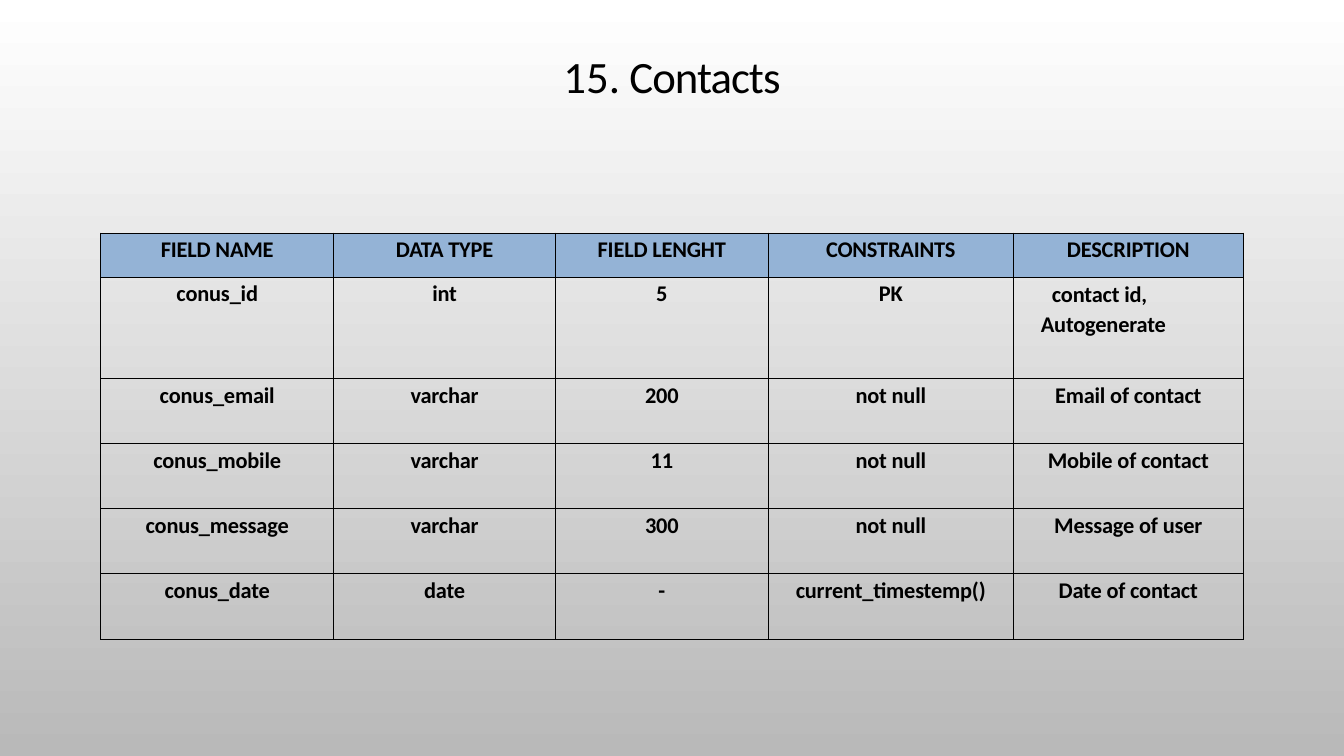
from lxml import etree
from pptx import Presentation
from pptx.dml.color import RGBColor
from pptx.enum.text import MSO_ANCHOR, PP_ALIGN
from pptx.oxml.ns import qn
from pptx.util import Cm, Pt

CENTER, LEFT = PP_ALIGN.CENTER, PP_ALIGN.LEFT
MIDDLE, TOP = MSO_ANCHOR.MIDDLE, MSO_ANCHOR.TOP
BLACK = RGBColor(0x00, 0x00, 0x00)
WHITE = RGBColor(0xFF, 0xFF, 0xFF)
GREY = RGBColor(0xB9, 0xB9, 0xB9)
BLUE = RGBColor(0x94, 0xB3, 0xD6)

COLS = [5.87, 5.59, 5.36, 6.18, 5.79]
ROWS = [1.12, 2.55] + [1.64] * 4
FIELDS = [
    ["FIELD NAME", "DATA TYPE", "FIELD LENGHT", "CONSTRAINTS", "DESCRIPTION"],
    ["conus_id", "int", "5", "PK", "contact id, Autogenerate"],
    ["conus_email", "varchar", "200", "not null", "Email of contact"],
    ["conus_mobile", "varchar", "11", "not null", "Mobile of contact"],
    ["conus_message", "varchar", "300", "not null", "Message of user"],
    ["conus_date", "date", "-", "current_timestemp()", "Date of contact"],
]


class Page:
    """Holds the style and the current slide."""

    title_font = {"name": "Calibri", "size": Pt(32)}
    cell_font = {"name": "Calibri", "size": Pt(16), "bold": True}

    def __init__(self, deck):
        self.slide = deck.slides.add_slide(deck.slide_layouts[6])

    def back(self, start, end):
        fill = self.slide.background.fill
        fill.gradient()
        fill.gradient_angle = 270
        for stop, color in zip(fill.gradient_stops, (start, end)):
            stop.color.rgb = color

    def label(self, para, text, style, track=0):
        run = para.add_run()
        run.text = text
        for key, value in style.items():
            setattr(run.font, key, value)
        run.font.color.rgb = BLACK
        run._r.get_or_add_rPr().set("spc", str(track))

    def inset(self, box, top=0):
        edges = {"margin_left": 0, "margin_top": Cm(top),
                 "margin_right": 0, "margin_bottom": 0}
        for key, value in edges.items():
            setattr(box, key, value)

    def title(self, parts, left, top, width, height):
        box = self.slide.shapes.add_textbox(
            Cm(left), Cm(top), Cm(width), Cm(height))
        frame = box.text_frame
        frame.word_wrap = True
        frame.vertical_anchor = MIDDLE
        self.inset(frame)
        para = frame.paragraphs[0]
        para.alignment = CENTER
        para.line_spacing = 0.9
        for text, track in parts:
            self.label(para, text, self.title_font, track)

    def border(self, cell):
        props = cell._tc.get_or_add_tcPr()
        for side in ("lnL", "lnR", "lnT", "lnB"):
            line = etree.SubElement(props, qn("a:" + side), w=str(Pt(0.5)))
            paint = etree.SubElement(line, qn("a:solidFill"))
            etree.SubElement(paint, qn("a:srgbClr"), val=str(BLACK))

    def cell(self, cell, text, head):
        self.border(cell)
        if head:
            cell.fill.solid()
            cell.fill.fore_color.rgb = BLUE
        else:
            cell.fill.background()
        cell.vertical_anchor = TOP
        self.inset(cell, 0.08)
        para = cell.text_frame.paragraphs[0]
        para.alignment = CENTER
        self.label(para, text, self.cell_font, -10)

    def indent(self, cell, left, first):
        self.inset(cell, 0.03)
        para = cell.text_frame.paragraphs[0]
        para.alignment = LEFT
        para.line_spacing = 1.1
        props = para._p.get_or_add_pPr()
        props.set("marL", str(Cm(left)))
        props.set("indent", str(Cm(first)))

    def table(self, data, left, top, cols, rows):
        table = self.slide.shapes.add_table(
            len(rows), len(cols), Cm(left), Cm(top),
            Cm(sum(cols)), Cm(sum(rows))).table
        table.first_row = table.horz_banding = False
        for col, width in zip(table.columns, cols):
            col.width = Cm(width)
        for row, height in zip(table.rows, rows):
            row.height = Cm(height)
        for r, line in enumerate(data):
            for c, text in enumerate(line):
                self.cell(table.cell(r, c), text, r == 0)
        return table


def main():
    deck = Presentation()
    deck.slide_width, deck.slide_height = Cm(33.87), Cm(19.05)
    page = Page(deck)

    # Background and title
    page.back(WHITE, GREY)
    page.title([("15.", 0), (" Contacts", -70)], 2.54, 1.12, 28.79, 1.75)

    # Field table, with the key's description indented
    table = page.table(FIELDS, 2.54, 5.87, COLS, ROWS)
    page.indent(table.cell(1, 4), 0.69, 0.28)

    deck.save("out.pptx")


if __name__ == "__main__":
    main()
